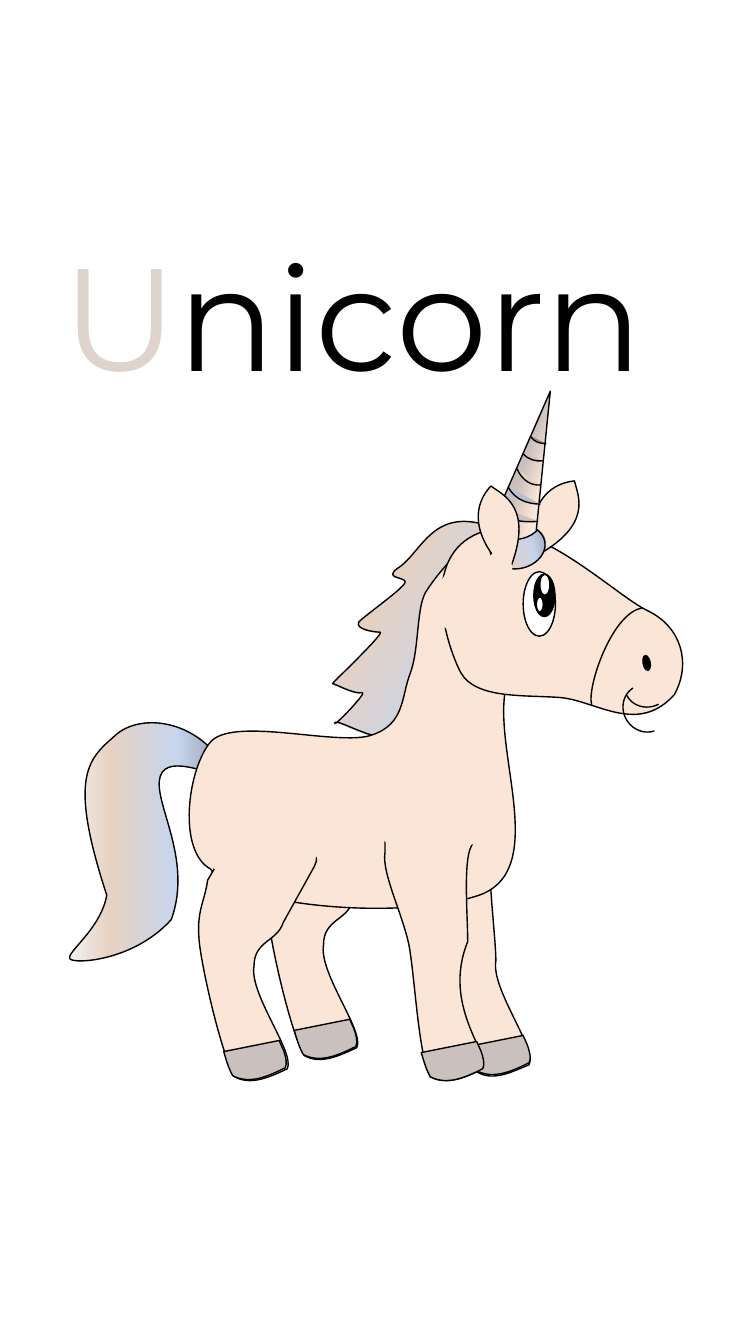
from pptx import Presentation
from pptx.dml.color import RGBColor
from pptx.enum.shapes import MSO_SHAPE as SHAPE
from pptx.enum.text import MSO_AUTO_SIZE as AUTO
from pptx.oxml import parse_xml
from pptx.oxml.ns import nsdecls, qn
from pptx.util import Inches, Pt

W, H = 7.5, 13.33
SKIN, HOOF, BLACK, WHITE = "FBE5D6", "CAC0BE", "000000", "FFFFFF"
PASTEL = [(0, "F6F8FC", 100), (29, "E6D2C2", 100), (69, "C7D5ED", 100), (100, "9097A9", 100)]
SHEER = [(0, "F6F8FC", 20)] + PASTEL[1:]
COAT = [(0, "F6F8FC", 100), (24, SKIN, 100)]
HORN = COAT + [(46, HOOF, 100), (74, "BABED1", 100), (100, "9097A9", 100)]

prs = Presentation()
prs.slide_width, prs.slide_height = Inches(W), Inches(H)
s = prs.slides.add_slide(prs.slide_layouts[6])


def paint(sp, fill, line=BLACK, angle=0):
    """fill is a hex colour, a list of gradient stops, or None."""
    sp.shadow.inherit = False
    if fill is None:
        sp.fill.background()
    else:
        sp.fill.solid()
    if isinstance(fill, str):
        sp.fill.fore_color.rgb = RGBColor.from_string(fill)
    elif fill:
        stops = "".join(
            f'<a:gs pos="{pos * 1000}"><a:srgbClr val="{c}"><a:alpha val="{a * 1000}"/></a:srgbClr></a:gs>'
            for pos, c, a in fill)
        grad = parse_xml(f'<a:gradFill {nsdecls("a")} rotWithShape="1"><a:gsLst>{stops}</a:gsLst>'
                         f'<a:lin ang="{round(angle * 60000)}" scaled="0"/></a:gradFill>')
        spPr = sp._element.spPr
        spPr.replace(spPr.find(qn("a:solidFill")), grad)
    if line:
        sp.line.color.rgb = RGBColor.from_string(line)
        sp.line.width = Pt(1)
    else:
        sp.line.fill.background()


def outline(text, fill, angle=0, dx=0, dy=0, close=True):
    """Parts split by |: the start, then lines (2 numbers) and Bézier curves (6)."""
    parts = [[float(n) for n in part.split()] for part in text.split("|")]
    pts = [(Inches(part[i] + dx), Inches(part[i + 1] + dy))
           for part in parts for i in range(0, len(part), 2)]
    fb = s.shapes.build_freeform(*pts[0])
    fb.add_line_segments(pts[1:], close=close)
    sp = fb.convert_to_shape()
    # Join each three segments of a curve into one cubic Bézier
    segments = iter(list(sp._element.iter(qn("a:lnTo"))))
    for part in parts[1:]:
        first = next(segments)
        if len(part) == 6:
            curve = parse_xml(f'<a:cubicBezTo {nsdecls("a")}/>')
            first.addprevious(curve)
            for seg in (first, next(segments), next(segments)):
                curve.append(seg[0])
                seg.getparent().remove(seg)
    paint(sp, fill, angle=angle)


# Word
box = s.shapes.add_textbox(Inches(0.52), Inches(2.19), Inches(6.92), Inches(1.85))
tf = box.text_frame
tf.word_wrap = True
tf.auto_size = AUTO.SHAPE_TO_FIT_TEXT
p = tf.paragraphs[0]
for letters, color in (("U", "DED3CD"), ("nicorn", BLACK)):
    r = p.add_run()
    r.text = letters
    r.font.size, r.font.name = Pt(104), "Montserrat"
    r.font.color.rgb = RGBColor.from_string(color)

# Tail and far legs
hind_leg = ("2.38 8.18|2.42 8.11 2.5 8.08 2.57 8.12|3.07 8.4|3.14 8.44 3.16 8.53 3.12 8.59|2.81 9.15"
            "|2.75 9.34 2.52 9.33 2.52 9.58|2.47 9.86 2.93 10.44 2.85 10.6"
            "|2.68 10.68 2.49 10.77 2.33 10.68|2.21 10.49 2.02 9.69 1.98 9.37"
            "|1.94 9.04 2.03 8.95 2.06 8.73")
outline("0.71 9.52|0.6 9.48 0.99 9.25 1.06 8.88|0.66 7.66 0.89 7.52 1.16 7.28"
        "|1.44 7.05 2.04 7.17 2.27 7.69|2.18 7.74 1.67 7.45 1.59 7.7"
        "|1.51 7.95 1.92 8.51 1.7 9.12|1.36 9.5 0.82 9.56 0.71 9.52", PASTEL)
outline(hind_leg, SKIN, dx=0.69, dy=-0.21)
outline("4.45 8|4.61 7.94 4.83 7.97 4.95 8.04|5.02 8.2 4.97 8.17 4.88 8.37"
        "|4.82 8.56 4.92 9.28 4.92 9.53|4.87 9.81 5.33 10.4 5.25 10.56"
        "|5.08 10.63 4.89 10.73 4.73 10.63|4.61 10.45 4.42 9.64 4.38 9.32"
        "|4.34 9 4.3 8.76 4.34 8.54", SKIN)

# Mane and body
outline("4.94 5.25|5.38 5.58|4.72 6.59|4.36 7.28|4.19 7.27 4.32 7.32 3.93 7.26"
        "|3.81 7.43 3.34 7.11 3.32 7.17|3.3 7.23 3.67 6.84 3.59 6.87|3.52 6.89 3.32 6.78 3.3 6.78"
        "|3.28 6.79 3.84 6.26 3.77 6.27|3.71 6.27 3.52 6.24 3.56 6.17|3.61 6.11 4.03 5.82 4.02 5.77"
        "|4.01 5.72 3.81 5.74 3.94 5.64|4.2 5.48 4.29 4.98 4.94 5.25", SHEER, angle=33.5)
outline("4.07 6.68|4.16 6.44 4.13 6.05 4.22 5.88|4.32 5.71 4.71 5.23 4.85 5.37"
        "|4.99 5.51 5.06 6.13 5.06 6.7|4.79 7.28 5.53 8.65 4.72 8.89|3.91 9.14 2.27 8.97 2.09 8.62"
        "|1.76 8.44 1.86 7.65 2.08 7.37|2.29 7.09 3.36 7.41 3.69 7.29|4.02 7.18 3.98 6.91 4.07 6.68",
        COAT, angle=45)

# Near legs
outline(hind_leg, SKIN)
outline("3.82 8.02|3.99 7.96 4.53 7.92 4.66 7.99|4.73 8.15 4.75 8.23 4.66 8.43"
        "|4.6 8.62 4.64 9.1 4.64 9.34|4.38 9.98 4.87 10.45 4.79 10.6"
        "|4.63 10.68 4.44 10.77 4.27 10.68|4.16 10.49 4.12 9.78 4.07 9.45"
        "|4.03 9.13 3.78 8.67 3.82 8.45", SKIN)

# Hooves
for dx, dy in ((0, 0), (0.7, -0.21), (2.42, -0.05), (1.96, 0.01)):
    outline("2.77 10.32|2.81 10.41|2.84 10.49 2.85 10.55 2.83 10.59|2.67 10.67 2.48 10.76 2.31 10.67"
            "|2.28 10.62 2.25 10.54 2.22 10.43", HOOF, dx=dx, dy=dy)

# Head and far ear
outline("4.7 5.31|5.23 5.03 6.1 5.91 6.43 6.06|6.76 6.22 6.86 6.58 6.69 6.89"
        "|6.33 7.29 5.93 6.96 5.57 6.92|5.22 6.89 4.72 6.94 4.57 6.67|4.43 6.4 4.17 5.58 4.7 5.31", SKIN)
outline("5.29 5.53|5.9 5.21 5.73 4.91 5.7 4.77|5.23 4.82 5.24 5.39 5.29 5.53", SKIN)

# Forelock, joint covers, eye and nostril
for x, y, w, h, turn, fill, line in (
        (4.86, 5.21, 0.55, 0.43, 347.3, SHEER, BLACK),
        (2.04, 8.01, 1.26, 0.69, 345.4, SKIN, None),
        (3.65, 7.81, 1.26, 0.64, 0, SKIN, None),
        (5.03, 5.83, 0.64, 0.32, 90, WHITE, BLACK),
        (6.34, 6.54, 0.15, 0.07, 79.3, BLACK, BLACK),
        (5.19, 5.8, 0.42, 0.21, 90, BLACK, BLACK),
        (4.18, 5.79, 0.6, 0.3, 98.1, SKIN, None),
        (5.3, 5.75, 0.21, 0.1, 90, WHITE, BLACK),
        (5.28, 5.96, 0.15, 0.07, 90, WHITE, BLACK)):
    sp = s.shapes.add_shape(SHAPE.OVAL, Inches(x), Inches(y), Inches(w), Inches(h))
    sp.rotation = turn
    paint(sp, fill, line)

# Smile: arc angles are in degrees, 0.6 adjustment units each
for x, y, turn, begin in ((6.19, 6.56, 152.6, 270), (6.17, 6.8, 237, 192.94)):
    sp = s.shapes.add_shape(SHAPE.ARC, Inches(x), Inches(y), Inches(0.48), Inches(0.45))
    sp.adjustments[0], sp.adjustments[1] = begin * 0.6, 0
    sp.rotation = turn
    paint(sp, None)
outline("5.87 6.99|5.82 6.81 6.08 6.06 6.38 6.03", None, close=False)

# Horn and its rings
outline("4.83 5.32|5.46 3.88|5.32 5.27|5.21 5.37 5.04 5.37 4.83 5.32", HORN, angle=197.2)
for ring, fill in (("5.26 4.32|5.3 4.39 5.36 4.4 5.42 4.4", "8C8C8C"),
                   ("5.19 4.5|5.24 4.56 5.32 4.58 5.39 4.57", HOOF),
                   ("5.13 4.65|5.18 4.77 5.28 4.82 5.36 4.81", "E6D2C2"),
                   ("5.04 4.83|5.11 4.96 5.24 5 5.36 5", "BABED1"),
                   ("4.84 4.98|4.94 5.15 5.17 5.19 5.34 5.17", HOOF)):
    outline(ring, fill, close=False)

# Near ear and the cover at its root
outline("5.05 5.67|5.31 5.03 4.99 4.91 4.87 4.82|4.55 5.17 4.93 5.59 5.05 5.67", SKIN)
sp = s.shapes.add_shape(SHAPE.OVAL, Inches(4.63), Inches(5.6), Inches(0.6), Inches(0.3))
sp.rotation = 98.1
paint(sp, SKIN, None)

prs.save("out.pptx")
